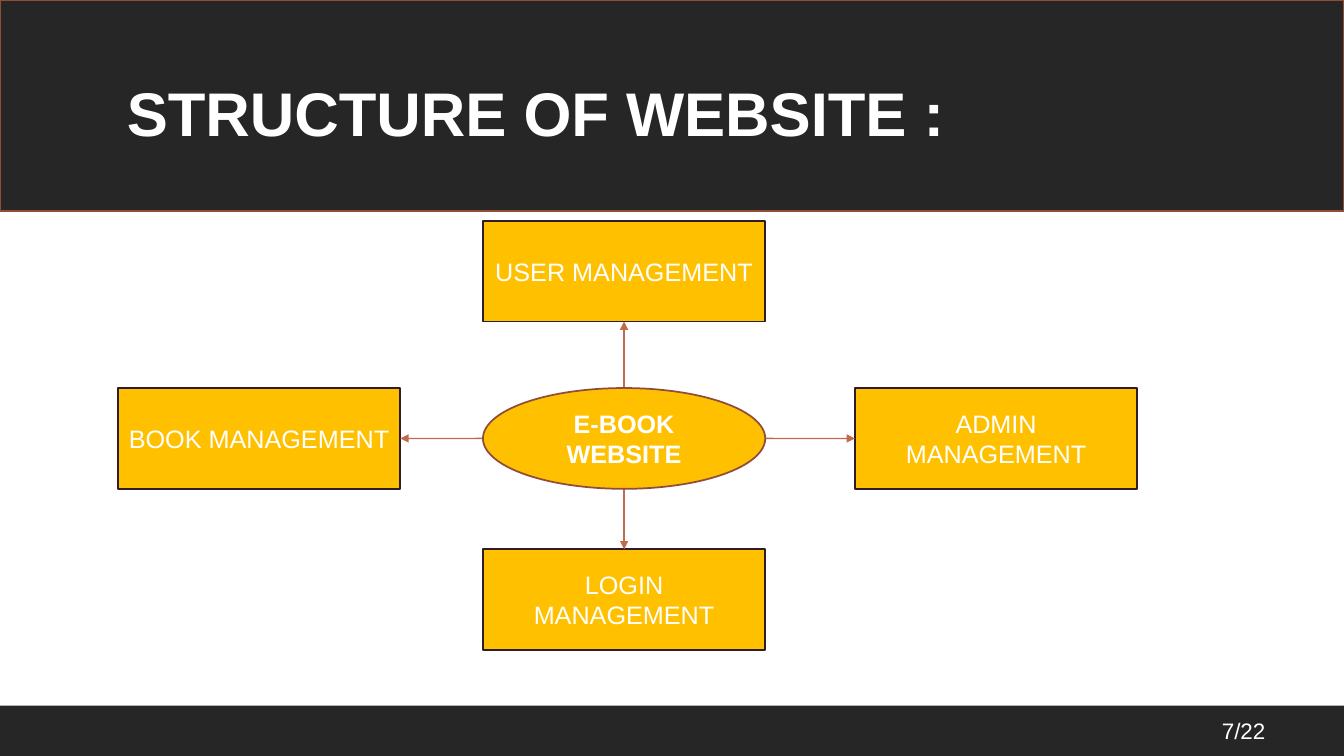
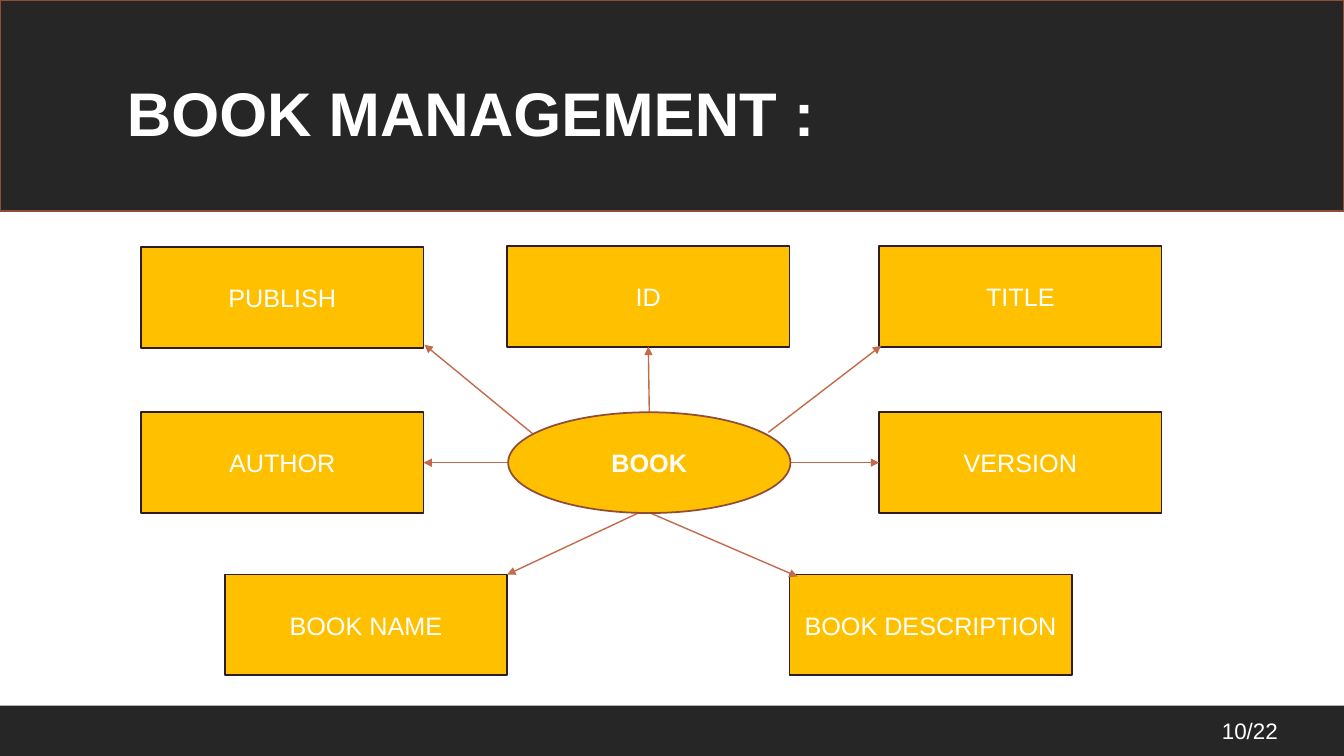
from lxml import etree
from pptx import Presentation
from pptx.dml.color import RGBColor
from pptx.enum.shapes import MSO_CONNECTOR, MSO_SHAPE
from pptx.enum.text import MSO_ANCHOR, MSO_AUTO_SIZE, PP_ALIGN
from pptx.oxml.ns import qn
from pptx.util import Inches, Pt

COLORS = {
    "band": "262626",
    "rust": "904E39",
    "gold": "FFC000",
    "outline": "301B28",
    "arrow": "C36A4D",
    "white": "FFFFFF",
}
FONT = "Arial"
SLIDE_WIDTH, SLIDE_HEIGHT = 13.33, 7.5
NODE_WIDTH, NODE_HEIGHT = 2.8, 1
TOP, LEFT, BOTTOM, RIGHT = range(4)


class Deck:
    """Holds the style and the current slide of the website presentation."""

    def __init__(self):
        self.presentation = Presentation()
        self.presentation.slide_width = Inches(SLIDE_WIDTH)
        self.presentation.slide_height = Inches(SLIDE_HEIGHT)
        self.slide = None

    def color(self, name):
        return RGBColor.from_string(COLORS[name])

    def add_slide(self, title, page):
        self.slide = self.presentation.slides.add_slide(self.presentation.slide_layouts[6])
        self.shape(MSO_SHAPE.RECTANGLE, 0, 7, SLIDE_WIDTH, 0.5, "band")
        self.shape(MSO_SHAPE.RECTANGLE, 0, 0, SLIDE_WIDTH, 2.09, "band", "rust")
        title_box = self.text_box(title, 1.16, 0.69, 10.05, 0.84, 44, bold=True)
        title_box.text_frame.auto_size = MSO_AUTO_SIZE.SHAPE_TO_FIT_TEXT
        page_box = self.text_box(page, 12.02, 7.05, 0.85, 0.4, 16)
        page_box.text_frame.vertical_anchor = MSO_ANCHOR.MIDDLE

    def shape(self, kind, left, top, width, height, fill, line=None):
        shape = self.slide.shapes.add_shape(
            kind, Inches(left), Inches(top), Inches(width), Inches(height)
        )
        shape.shadow.inherit = False
        shape.fill.solid()
        shape.fill.fore_color.rgb = self.color(fill)
        if line:
            shape.line.color.rgb = self.color(line)
            shape.line.width = Pt(1.25)
        else:
            shape.line.fill.background()
        return shape

    def set_text(self, shape, text, size, bold=False, alignment=PP_ALIGN.LEFT):
        text_frame = shape.text_frame
        text_frame.word_wrap = True
        text_frame.text = text
        paragraph = text_frame.paragraphs[0]
        paragraph.alignment = alignment
        font = paragraph.runs[0].font
        font.name = FONT
        font.size = Pt(size)
        font.bold = bold
        font.color.rgb = self.color("white")

    def text_box(self, text, left, top, width, height, size, bold=False):
        box = self.slide.shapes.add_textbox(
            Inches(left), Inches(top), Inches(width), Inches(height)
        )
        self.set_text(box, text, size, bold)
        return box

    def node(self, kind, text, left, top, line, bold=False):
        shape = self.shape(kind, left, top, NODE_WIDTH, NODE_HEIGHT, "gold", line)
        self.set_text(shape, text, 18, bold, PP_ALIGN.CENTER)
        shape.text_frame.vertical_anchor = MSO_ANCHOR.MIDDLE
        return shape

    def box(self, text, left, top):
        return self.node(MSO_SHAPE.RECTANGLE, text, left, top, "outline")

    def hub(self, text, left, top):
        return self.node(MSO_SHAPE.OVAL, text, left, top, "rust", bold=True)

    def arrow(self, start, end):
        points = [Inches(value) for value in (*start, *end)]
        connector = self.slide.shapes.add_connector(MSO_CONNECTOR.STRAIGHT, *points)
        connector.line.color.rgb = self.color("arrow")
        connector.line.width = Pt(1)
        properties = connector.element.spPr
        etree.SubElement(properties.find(qn("a:ln")), qn("a:tailEnd"), type="triangle")
        etree.SubElement(properties, qn("a:effectLst"))
        return connector

    def diagram(self, hub, boxes, corner_arrows=()):
        hub_text, left, top = hub
        center, middle = left + NODE_WIDTH / 2, top + NODE_HEIGHT / 2
        starts = {
            TOP: (center, top),
            LEFT: (left, middle),
            BOTTOM: (center, top + NODE_HEIGHT),
            RIGHT: (left + NODE_WIDTH, middle),
        }
        for text, box_left, box_top, side in boxes:
            box = self.box(text, box_left, box_top)
            if side is not None:
                facing_side = (side + 2) % 4
                self.arrow(starts[side], starts[side]).end_connect(box, facing_side)
        for start, end in corner_arrows:
            self.arrow(start, end)
        self.hub(hub_text, left, top)

    def save(self):
        self.presentation.save("out.pptx")


def main():
    deck = Deck()

    deck.add_slide("STRUCTURE OF WEBSITE :", "7/22")
    deck.diagram(
        ("E-BOOK WEBSITE", 4.79, 3.85),
        [
            ("USER MANAGEMENT", 4.79, 2.19, TOP),
            ("ADMIN MANAGEMENT", 8.48, 3.85, RIGHT),
            ("LOGIN MANAGEMENT", 4.79, 5.45, BOTTOM),
            ("BOOK MANAGEMENT", 1.17, 3.85, LEFT),
        ],
    )

    deck.add_slide("BOOK MANAGEMENT :", "10/22")
    deck.diagram(
        ("BOOK", 5.04, 4.09),
        [
            ("ID", 5.03, 2.44, TOP),
            ("VERSION", 8.72, 4.09, RIGHT),
            ("BOOK DESCRIPTION", 7.83, 5.7, None),
            ("AUTHOR", 1.4, 4.09, LEFT),
            ("PUBLISH", 1.4, 2.45, None),
            ("BOOK NAME", 2.23, 5.7, None),
            ("TITLE", 8.72, 2.44, None),
        ],
        [
            ((6.33, 5.09), (5.03, 5.7)),
            ((6.45, 5.09), (7.91, 5.72)),
            ((5.28, 4.3), (4.21, 3.42)),
            ((7.62, 4.29), (8.74, 3.43)),
        ],
    )

    deck.save()


if __name__ == "__main__":
    main()
